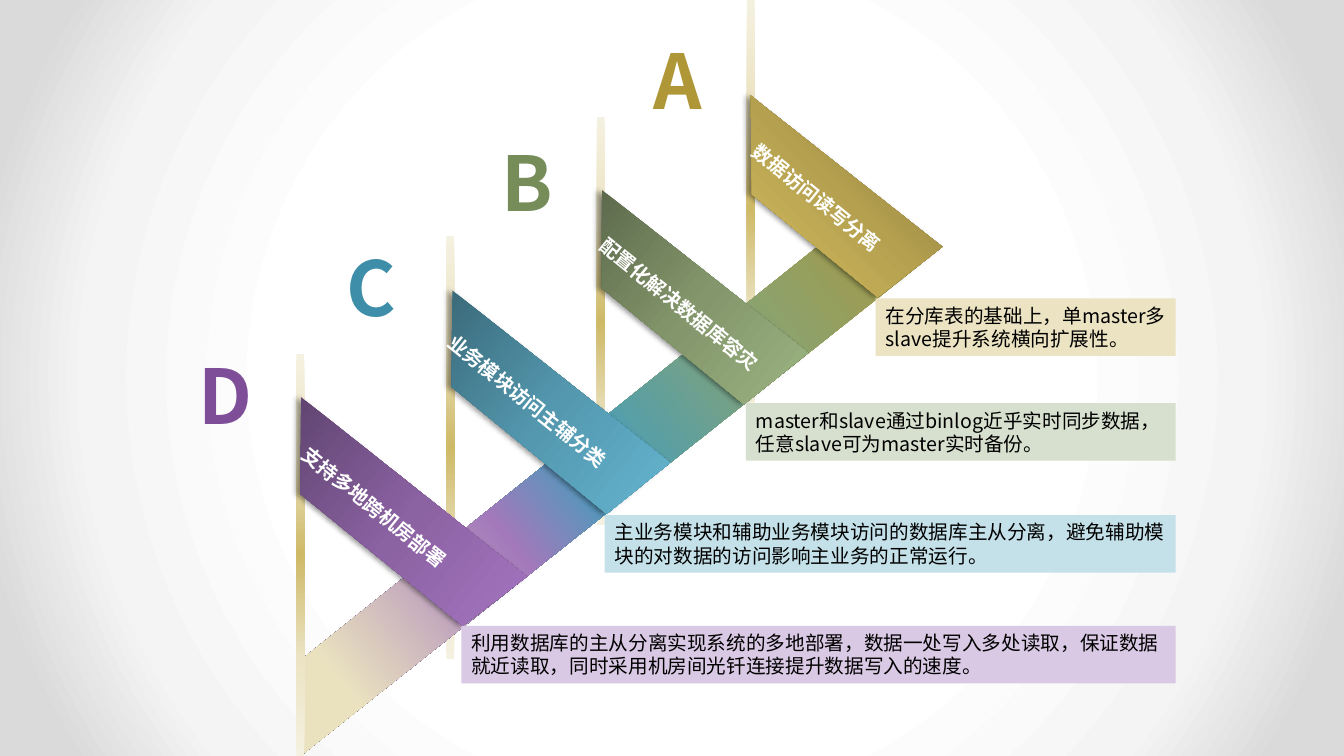
from collections import namedtuple

from lxml.etree import SubElement
from pptx import Presentation
from pptx.dml.color import RGBColor
from pptx.enum.shapes import MSO_SHAPE
from pptx.enum.text import MSO_ANCHOR, PP_ALIGN
from pptx.oxml.ns import qn
from pptx.util import Cm, Pt

FONT = "Noto Sans CJK SC"
WHITE = RGBColor(0xFF, 0xFF, 0xFF)
BLACK = RGBColor(0x00, 0x00, 0x00)
PALE_GREY = RGBColor(0xF4, 0xF4, 0xF4)
GREY = RGBColor(0xDA, 0xDA, 0xDA)
GOLD = RGBColor(0xAF, 0x97, 0x38)
GREEN = RGBColor(0x76, 0x8D, 0x5A)
BLUE = RGBColor(0x3E, 0x8E, 0xA9)
PURPLE = RGBColor(0x7E, 0x4E, 0x99)
SAND = RGBColor(0xEB, 0xE3, 0xC2)
PALE_GREEN = RGBColor(0xD7, 0xDF, 0xCE)
PALE_BLUE = RGBColor(0xC4, 0xE0, 0xE9)
PALE_PURPLE = RGBColor(0xDA, 0xC9, 0xE4)

BACKGROUND_STOPS = [(50, WHITE), (76, PALE_GREY), (92, GREY)]
BAR_STOPS = [(0, RGBColor(0xCE, 0xB9, 0x66)), (50, SAND),
             (100, RGBColor(0xF5, 0xF1, 0xE0))]
BAND_STOPS = [(0, RGBColor(0xAD, 0x95, 0x37)), (26, RGBColor(0x8B, 0xA3, 0x6F)),
              (52, RGBColor(0x45, 0x9D, 0xBB)), (65, RGBColor(0xA3, 0x79, 0xBB)),
              (91, RGBColor(0xEA, 0xE2, 0xBF))]
GOLD_STOPS = [(0, RGBColor(0x7F, 0x70, 0x38)), (50, RGBColor(0xB4, 0xA0, 0x4F)),
              (100, RGBColor(0xD6, 0xBE, 0x5E))]
GREEN_STOPS = [(0, RGBColor(0x5D, 0x6A, 0x4C)), (50, RGBColor(0x84, 0x97, 0x6C)),
               (100, RGBColor(0x9C, 0xB3, 0x81))]
BLUE_STOPS = [(0, RGBColor(0x3B, 0x6B, 0x7B)), (50, RGBColor(0x54, 0x98, 0xAF)),
              (100, RGBColor(0x64, 0xB4, 0xD0))]
PURPLE_STOPS = [(0, RGBColor(0x61, 0x45, 0x72)), (50, RGBColor(0x8B, 0x62, 0xA2)),
                (100, RGBColor(0xA4, 0x74, 0xC0))]

# Bars as left, top, height; all other lengths are centimetres too
BACK_BARS = [(15.04, 2.95, 10.29), (18.82, 0, 10.47), (11.25, 5.94, 10.67)]
FRONT_BAR = (7.47, 8.92, 10.13)
BAND = [(22.15, 4.98), (23.75, 6.22), (7.57, 19.05), (7.7, 16.54)]
PANEL_RIGHT = 29.63

Step = namedtuple("Step", "letter centre color flag stops angle label label_box "
                          "panel panel_at panel_color")
STEPS = [
    Step("A", (17.07, 1.99), GOLD,
         [(22.12, 7.49), (18.95, 4.9), (18.92, 2.41), (23.75, 6.22)],
         GOLD_STOPS, 135, "数据访问读写分离", (18.34, 4.6, 4.6),
         "在分库表的基础上，单master多slave提升系统横向扩展性。",
         (22.07, 7.52), SAND),
    Step("B", (13.28, 4.56), GREEN,
         [(18.75, 10.19), (15.16, 7.26), (15.16, 4.78), (20.37, 8.89)],
         GREEN_STOPS, 38.6, "配置化解决数据库容灾", (14.27, 7.59, 6.58),
         "master和slave通过binlog近乎实时同步数据，任意slave可为master实时备份。",
         (18.8, 10.16), PALE_GREEN),
    Step("C", (9.37, 7.21), BLUE,
         [(15.29, 12.95), (11.38, 9.75), (11.4, 7.32), (16.89, 11.66)],
         BLUE_STOPS, 38.6, "业务模块访问主辅分类", (10.44, 10.03, 6.58),
         "主业务模块和辅助业务模块访问的数据库主从分离，避免辅助模块的对数据的访问影响主业务的正常运行。",
         (15.24, 12.98), PALE_BLUE),
    Step("D", (5.69, 9.94), PURPLE,
         [(11.66, 15.77), (7.57, 12.45), (7.59, 10.01), (13.28, 14.53)],
         PURPLE_STOPS, 38.6, "支持多地跨机房部署", (6.78, 12.85, 6.53),
         "利用数据库的主从分离实现系统的多地部署，数据一处写入多处读取，保证数据就近读取，"
         "同时采用机房间光钎连接提升数据写入的速度。",
         (11.63, 15.77), PALE_PURPLE),
]


def set_gradient(fill, parent, stops, angle=None):
    """Fill with a linear gradient, or a circular one when angle is None."""
    fill.gradient()
    grad = parent.find(qn("a:gradFill"))
    for child in list(grad):
        grad.remove(child)
    stop_list = SubElement(grad, qn("a:gsLst"))
    for position, color in stops:
        gs = SubElement(stop_list, qn("a:gs"), pos=str(position * 1000))
        SubElement(gs, qn("a:srgbClr"), val=str(color))
    if angle is None:
        circle = SubElement(grad, qn("a:path"), path="circle")
        sides = {side: "50000" for side in "ltrb"}
        SubElement(circle, qn("a:fillToRect"), **sides)
    else:
        SubElement(grad, qn("a:lin"), ang=str(round(angle * 60000)), scaled="0")


def set_background(s):
    s.background.fill.solid()
    bg = next(s.element.iter(qn("p:bgPr")))
    set_gradient(s.background.fill, bg, BACKGROUND_STOPS)


def write_text(sp, text, size=14, color=BLACK, bold=False, align=PP_ALIGN.LEFT,
               anchor=MSO_ANCHOR.MIDDLE, spacing=None):
    tf = sp.text_frame
    tf.word_wrap = True
    tf.vertical_anchor = anchor
    p = tf.paragraphs[0]
    p.alignment = align
    p.line_spacing = spacing
    r = p.add_run()
    r.text = text
    r.font.name, r.font.size, r.font.bold = FONT, Pt(size), bold
    r.font.color.rgb = color
    SubElement(r.font._element, qn("a:ea"), typeface=FONT)


def add_rect(s, left, top, width, height):
    sp = s.shapes.add_shape(MSO_SHAPE.RECTANGLE, Cm(left), Cm(top), Cm(width), Cm(height))
    sp.shadow.inherit = False
    sp.line.fill.background()
    return sp


def add_bar(s, left, top, height):
    sp = add_rect(s, left, top, 0.2, height)
    set_gradient(sp.fill, sp.element.spPr, BAR_STOPS)


def add_ribbon(s, points, stops, angle):
    corners = [(Cm(x), Cm(y)) for x, y in points]
    builder = s.shapes.build_freeform(*corners[0])
    builder.add_line_segments(corners[1:], close=True)
    sp = builder.convert_to_shape()
    sp.shadow.inherit = False
    sp.line.fill.background()
    set_gradient(sp.fill, sp.element.spPr, stops, angle)
    return sp


def add_left_shadow(sp):
    effects = sp.element.spPr.find(qn("a:effectLst"))
    shadow = SubElement(effects, qn("a:outerShdw"), blurRad=str(Pt(4)),
                        dist=str(Pt(3)), dir="10800000", rotWithShape="0")
    black = SubElement(shadow, qn("a:srgbClr"), val=str(BLACK))
    SubElement(black, qn("a:alpha"), val="40000")


def add_letter(s, letter, centre, color):
    size = 2.57
    x, y = centre
    sp = s.shapes.add_textbox(Cm(x - size / 2), Cm(y - size / 2), Cm(size), Cm(size))
    write_text(sp, letter, size=54, color=color, bold=True, align=PP_ALIGN.CENTER)


def add_label(s, text, left, top, width):
    sp = s.shapes.add_textbox(Cm(left), Cm(top), Cm(width), Cm(0.86))
    sp.rotation = 39
    write_text(sp, text, color=WHITE, bold=True)


def add_panel(s, text, left, top, color):
    sp = add_rect(s, left, top, PANEL_RIGHT - left, 1.45)
    sp.fill.solid()
    sp.fill.fore_color.rgb = color
    write_text(sp, text, spacing=Pt(16.5))


def main():
    prs = Presentation()
    prs.slide_width, prs.slide_height = Cm(33.87), Cm(19.05)
    s = prs.slides.add_slide(prs.slide_layouts[6])
    set_background(s)
    for bar in BACK_BARS:
        add_bar(s, *bar)
    add_ribbon(s, BAND, BAND_STOPS, 141.4)
    add_bar(s, *FRONT_BAR)
    for step in STEPS:
        add_left_shadow(add_ribbon(s, step.flag, step.stops, step.angle))
        add_letter(s, step.letter, step.centre, step.color)
        add_label(s, step.label, *step.label_box)
        add_panel(s, step.panel, *step.panel_at, step.panel_color)
    prs.save("out.pptx")


if __name__ == "__main__":
    main()
